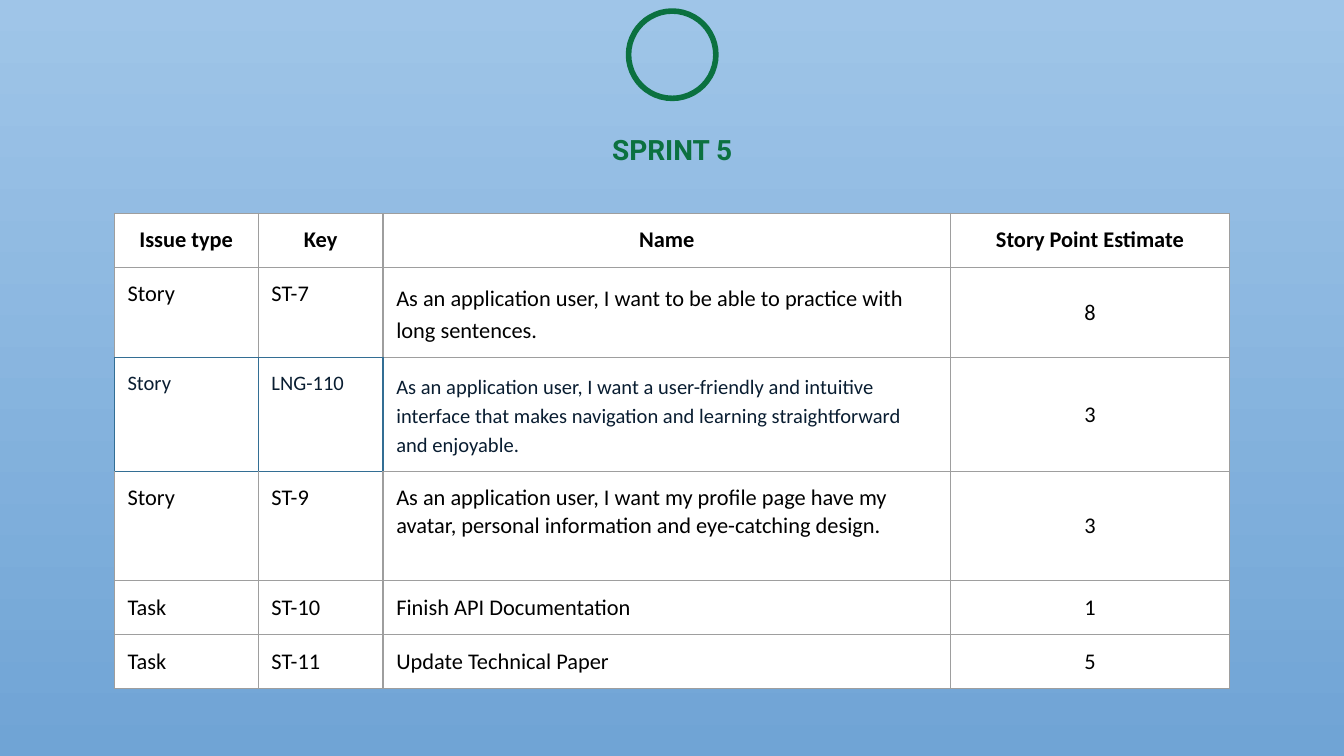
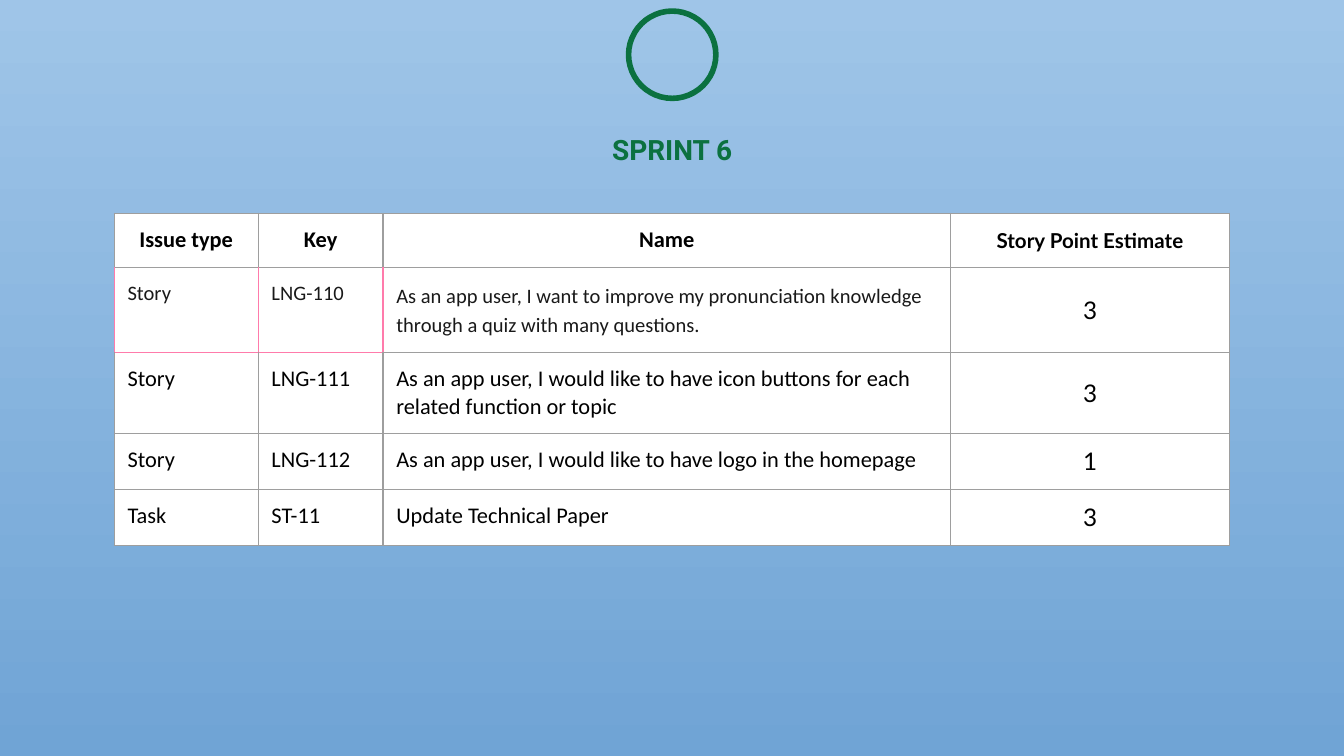
from lxml import etree
from pptx import Presentation
from pptx import util as u
from pptx.dml.color import RGBColor
from pptx.enum import shapes, text
from pptx.oxml import ns

GREEN = RGBColor(0x0B, 0x71, 0x40)
SKY_TOP = RGBColor(0x9F, 0xC5, 0xE8)
SKY_BOTTOM = RGBColor(0x70, 0xA4, 0xD5)
WHITE = RGBColor(0xFF, 0xFF, 0xFF)
BLACK = RGBColor(0, 0, 0)
GREY = RGBColor(0x9E, 0x9E, 0x9E)
BLUE = RGBColor(0x33, 0x6E, 0x94)
NAVY = RGBColor(0x09, 0x1D, 0x31)
PINK = RGBColor(0xFF, 0x7B, 0xAB)
CHARCOAL = RGBColor(0x19, 0x19, 0x19)

HEADINGS = ("Issue type", "Key", "Name", "Story Point Estimate")
COLUMN_WIDTHS = (2.72, 2.36, 10.72, 5.28)
NAME, POINTS = 2, 3

# The marked row has smaller text, its own ink and a coloured frame around type and key
SPRINTS = [
    {
        "title": "SPRINT 5",
        "rows": [
            ("Story", "ST-7", "As an application user, I want to be able to practice with long sentences.", "8"),
            ("Story", "LNG-110", "As an application user, I want a user-friendly and intuitive interface "
             "that makes navigation and learning straightforward and enjoyable.", "3"),
            ("Story", "ST-9", "As an application user, I want my profile page have my avatar, "
             "personal information and eye-catching design.", "3"),
            ("Task", "ST-10", "Finish API Documentation", "1"),
            ("Task", "ST-11", "Update Technical Paper", "5"),
        ],
        "heights": (1.02, 1.71, 2.15, 2.07, 1.02, 1.02),
        "marked": 2, "frame": BLUE, "ink": NAVY,
        "name_spacing": {1: 1.17, 2: 1.15},
        "points_font": ("Calibri", 12), "points_heading": ("Calibri", 12),
    },
    {
        "title": "SPRINT 6",
        "rows": [
            ("Story", "LNG-110", "As an app user, I want to improve my pronunciation knowledge "
             "through a quiz with many questions.", "3"),
            ("Story", "LNG-111", "As an app user, I would like to have icon buttons for each "
             "related function or topic", "3"),
            ("Story", "LNG-112", "As an app user, I would like to have logo in the homepage", "1"),
            ("Task", "ST-11", "Update Technical Paper", "3"),
        ],
        "heights": (1.02, 1.61, 1.53, 1.06, 1.06),
        "marked": 1, "frame": PINK, "ink": CHARCOAL,
        "name_spacing": {1: 1.15},
        "points_font": ("Lato", 13), "points_heading": ("Lato", 11),
    },
]


def set_border(cell, side, colour):
    properties = cell._tc.get_or_add_tcPr()
    line = etree.SubElement(properties, ns.qn("a:ln" + side), w=str(u.Pt(0.75)))
    fill = etree.SubElement(line, ns.qn("a:solidFill"))
    etree.SubElement(fill, ns.qn("a:srgbClr"), val=str(colour))


def style_paragraph(paragraph, font_name, size, colour, bold, centred):
    paragraph.alignment = text.PP_ALIGN.CENTER if centred else text.PP_ALIGN.LEFT
    paragraph.font.name = font_name
    paragraph.font.size = u.Pt(size)
    paragraph.font.color.rgb = colour
    paragraph.font.bold = bold


presentation = Presentation()
presentation.slide_width = u.Cm(25.4)
presentation.slide_height = u.Cm(14.29)

for sprint in SPRINTS:
    slide = presentation.slides.add_slide(presentation.slide_layouts[6])

    # Background
    background = slide.background.fill
    background.gradient()
    background.gradient_angle = 270
    for stop, position, colour in zip(background.gradient_stops, (0, 1), (SKY_TOP, SKY_BOTTOM)):
        stop.position = position
        stop.color.rgb = colour

    # Ring
    ring = slide.shapes.add_shape(shapes.MSO_SHAPE.OVAL, u.Cm(11.88), u.Cm(0.21), u.Cm(1.65), u.Cm(1.65))
    ring.shadow.inherit = False
    ring.fill.background()
    ring.line.color.rgb = GREEN
    ring.line.width = u.Pt(3)

    # Title
    title = slide.shapes.add_textbox(u.Cm(10.33), u.Cm(2.16), u.Cm(4.75), u.Cm(1.24))
    frame = title.text_frame
    frame.word_wrap = True
    frame.vertical_anchor = text.MSO_ANCHOR.BOTTOM
    frame.margin_left = frame.margin_right = frame.margin_top = frame.margin_bottom = u.Cm(0.25)
    paragraph = frame.paragraphs[0]
    paragraph.text = sprint["title"]
    paragraph.line_spacing = 1.15
    style_paragraph(paragraph, "Roboto", 15, GREEN, True, True)

    # Table grid
    rows = [HEADINGS] + sprint["rows"]
    table = slide.shapes.add_table(len(rows), len(HEADINGS), u.Cm(2.16), u.Cm(4.03),
                                   u.Cm(sum(COLUMN_WIDTHS)), u.Cm(sum(sprint["heights"]))).table
    table.first_row = table.horz_banding = False
    for column, width in zip(table.columns, COLUMN_WIDTHS):
        column.width = u.Cm(width)
    for row, height in zip(table.rows, sprint["heights"]):
        row.height = u.Cm(height)

    # Table cells
    framed = {(sprint["marked"], 0), (sprint["marked"], 1)}
    for r, values in enumerate(rows):
        for c, value in enumerate(values):
            cell = table.cell(r, c)
            header = r == 0
            centred = header or c == POINTS
            cell.margin_left = cell.margin_right = cell.margin_top = cell.margin_bottom = u.Cm(0.25)
            cell.vertical_anchor = text.MSO_ANCHOR.MIDDLE if centred else text.MSO_ANCHOR.TOP

            # An edge takes the frame colour if either side is framed; the header's edges stay grey
            neighbours = {"L": (r, c - 1), "R": (r, c + 1), "T": (r - 1, c), "B": (r + 1, c)}
            for side, neighbour in neighbours.items():
                touches = (r, c) in framed or neighbour in framed
                below_header = header or neighbour[0] == 0
                set_border(cell, side, sprint["frame"] if touches and not below_header else GREY)
            cell.fill.solid()
            cell.fill.fore_color.rgb = WHITE

            font_name, size, colour = "Calibri", 12, BLACK
            if c == POINTS:
                font_name, size = sprint["points_heading" if header else "points_font"]
            elif r == sprint["marked"]:
                size, colour = 11, sprint["ink"]
            paragraph = cell.text_frame.paragraphs[0]
            paragraph.text = value
            if c == NAME and r in sprint["name_spacing"]:
                paragraph.line_spacing = sprint["name_spacing"][r]
            style_paragraph(paragraph, font_name, size, colour, header, centred)

presentation.save("out.pptx")
